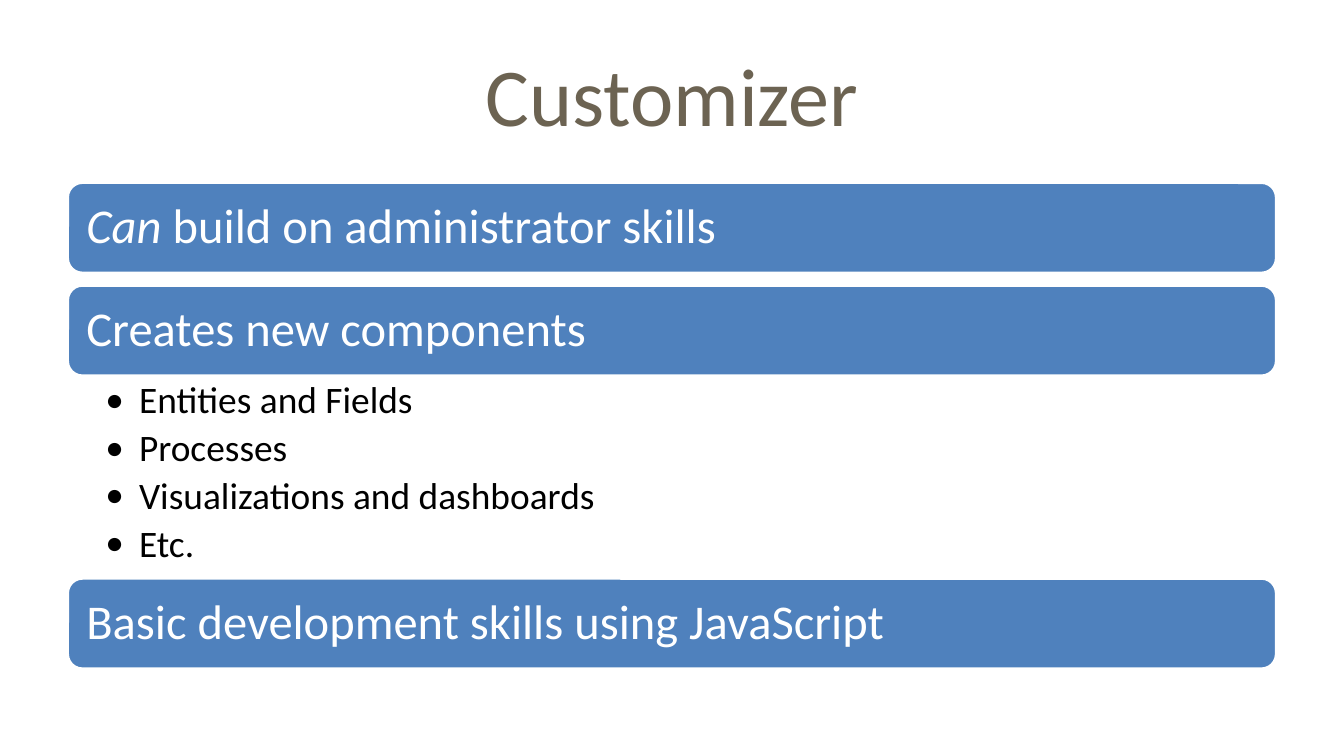
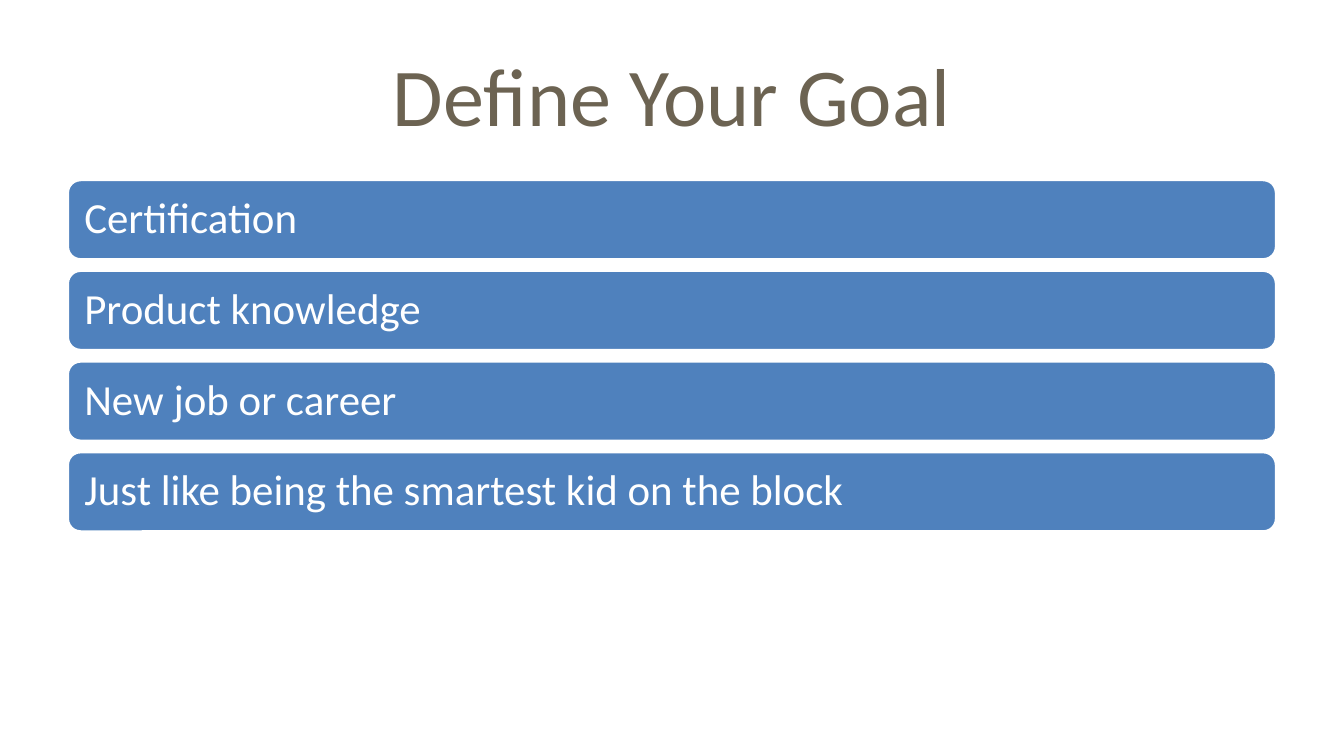
from dataclasses import dataclass

from lxml import etree
from pptx import Presentation
from pptx.dml.color import RGBColor
from pptx.enum.shapes import MSO_SHAPE
from pptx.enum.text import MSO_ANCHOR, PP_ALIGN
from pptx.oxml.ns import qn
from pptx.util import Pt

ROUNDED = MSO_SHAPE.ROUNDED_RECTANGLE
MIDDLE, TOP = MSO_ANCHOR.MIDDLE, MSO_ANCHOR.TOP
LEFT, CENTER = PP_ALIGN.LEFT, PP_ALIGN.CENTER
TITLE_ONLY = 5
EMU_PER_PX = 4572  # 200 px to the inch


@dataclass(frozen=True)
class Theme:
    font: str = "Calibri"
    title_color: str = "6C6352"
    bar_color: str = "4F81BD"
    light: str = "FFFFFF"
    dark: str = "000000"
    title_size: int = 44
    large_bar_size: int = 26
    small_bar_size: int = 23
    bullet_size: int = 20
    bar_line: int = 2


THEME = Theme()
PAGE_WIDTH, PAGE_HEIGHT = 2000, 1125
MARGIN = 100
CONTENT_WIDTH = PAGE_WIDTH - 2 * MARGIN


def px(length):
    return length * EMU_PER_PX


def add_bullet(para, indent):
    properties = para._p.get_or_add_pPr()
    properties.set("marL", str(px(indent)))
    properties.set("indent", str(-px(indent)))
    etree.SubElement(properties, qn("a:buFont")).set("typeface", THEME.font)
    etree.SubElement(properties, qn("a:buChar")).set("char", "•")


def write(para, text, *, size, color, italic_start="", align=LEFT,
          line_spacing=None, space_after=None, bullet_indent=None):
    """Fill a paragraph; italic_start is an italic lead-in before the text."""
    if bullet_indent:
        add_bullet(para, bullet_indent)
    para.alignment = align
    para.line_spacing = line_spacing
    if space_after is not None:
        para.space_after = Pt(space_after)
    for part, italic in ((italic_start, True), (text, False)):
        if part:
            span = para.add_run()
            span.text = part
            span.font.name = THEME.font
            span.font.size = Pt(size)
            span.font.italic = italic
            span.font.color.rgb = RGBColor.from_string(color)


class SlideBuilder:
    def __init__(self, deck, theme):
        self.deck = deck
        self.theme = theme
        self.page = None

    def start(self, title):
        self.page = self.deck.slides.add_slide(self.deck.slide_layouts[TITLE_ONLY])
        box = self.page.shapes.title
        box.left, box.top = px(MARGIN), px(45)
        box.width, box.height = px(CONTENT_WIDTH), px(188)
        box.text_frame.vertical_anchor = MIDDLE
        write(box.text_frame.paragraphs[0], title, size=self.theme.title_size,
              color=self.theme.title_color, align=CENTER)

    def frame(self, box, anchor, left, top, right, bottom):
        frame = box.text_frame
        frame.word_wrap = True
        frame.vertical_anchor = anchor
        frame.margin_left, frame.margin_top = px(left), px(top)
        frame.margin_right, frame.margin_bottom = px(right), px(bottom)
        return frame

    def bar(self, text, top, height, *, size, inset, italic_start=""):
        bar = self.page.shapes.add_shape(
            ROUNDED, px(MARGIN), px(top), px(CONTENT_WIDTH), px(height))
        bar.shadow.inherit = False
        bar.fill.solid()
        bar.fill.fore_color.rgb = RGBColor.from_string(self.theme.bar_color)
        bar.line.color.rgb = RGBColor.from_string(self.theme.light)
        bar.line.width = Pt(self.theme.bar_line)
        # The rounded corners already push the text in a little
        frame = self.frame(bar, MIDDLE, inset, inset, inset, inset)
        write(frame.paragraphs[0], text, size=size, color=self.theme.light,
              italic_start=italic_start, line_spacing=0.9)

    def bullets(self, items, top, height):
        box = self.page.shapes.add_textbox(
            px(MARGIN), px(top), px(CONTENT_WIDTH), px(height))
        frame = self.frame(box, TOP, 57, 8, 40, 8)
        for index, item in enumerate(items):
            para = frame.add_paragraph() if index else frame.paragraphs[0]
            write(para, item, size=self.theme.bullet_size, color=self.theme.dark,
                  line_spacing=0.9, space_after=4, bullet_indent=50)


def customizer(builder):
    builder.start("Customizer")
    first_top, height, gap, list_height = 271, 136, 17, 300
    second_top = first_top + height + gap
    list_top = second_top + height
    style = {"size": builder.theme.large_bar_size, "inset": 22}

    builder.bar(" build on administrator skills", first_top, height,
                italic_start="Can", **style)
    builder.bar("Creates new components", second_top, height, **style)
    builder.bullets(["Entities and Fields", "Processes",
                     "Visualizations and dashboards", "Etc."],
                    list_top, list_height)
    builder.bar("Basic development skills using JavaScript",
                list_top + list_height, height, **style)


def define_your_goal(builder):
    builder.start("Define Your Goal")
    first_top, height, gap = 267, 120, 15
    goals = ["Certification", "Product knowledge", "New job or career",
             "Just like being the smartest kid on the block"]
    for row, goal in enumerate(goals):
        builder.bar(goal, first_top + row * (height + gap), height,
                    size=builder.theme.small_bar_size, inset=20)


def main():
    deck = Presentation()
    deck.slide_width, deck.slide_height = px(PAGE_WIDTH), px(PAGE_HEIGHT)
    builder = SlideBuilder(deck, THEME)
    customizer(builder)
    define_your_goal(builder)
    deck.save("out.pptx")


if __name__ == "__main__":
    main()
